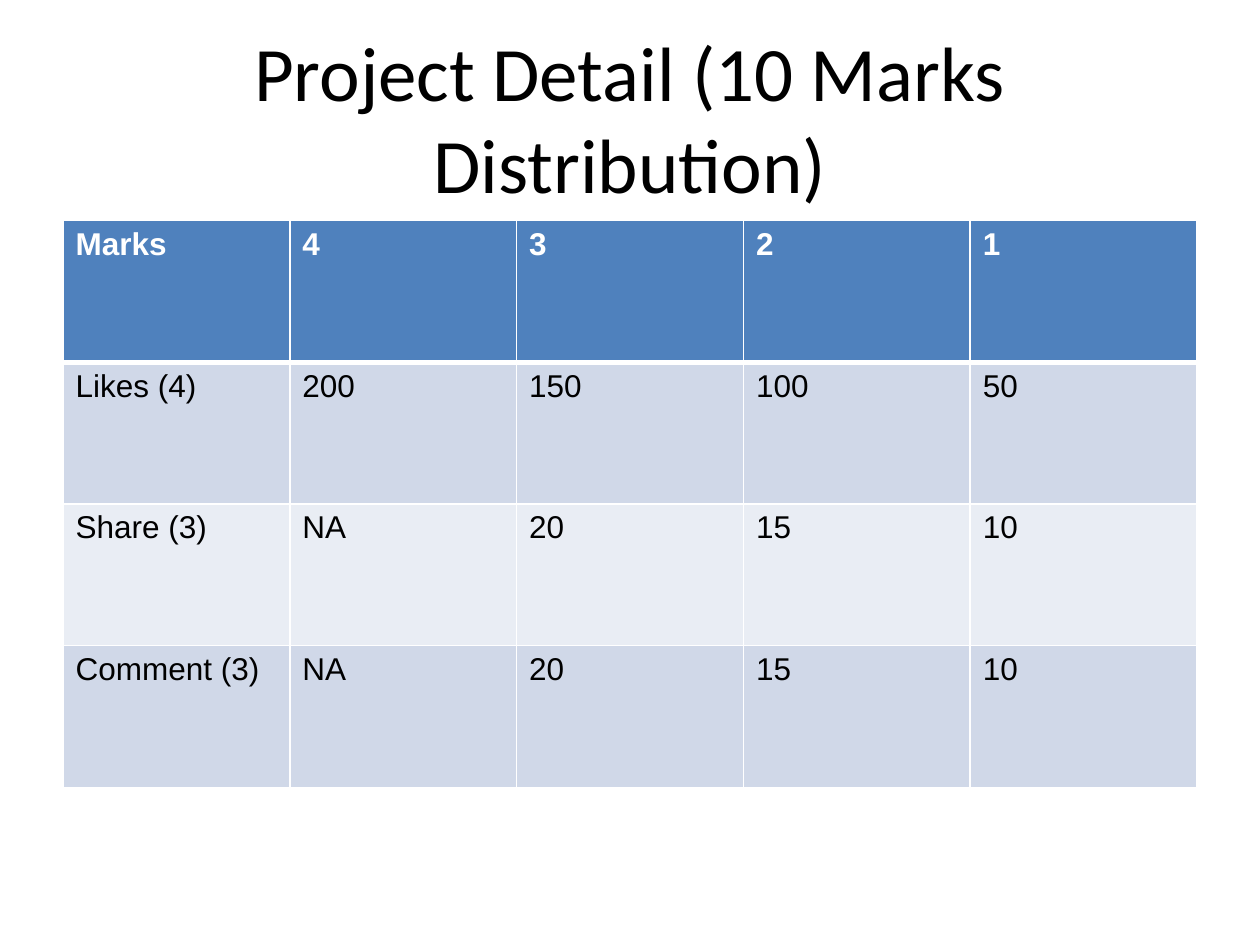
from dataclasses import dataclass

from lxml import etree
from pptx import Presentation
from pptx import util as u
from pptx.dml.color import RGBColor
from pptx.enum import text
from pptx.oxml import ns


@dataclass(frozen=True)
class Theme:
    """Colours, fonts, type sizes and line widths."""
    ink: str = "000000"
    white: str = "FFFFFF"
    head: str = "4F81BD"
    bands: tuple = ("D0D8E8", "E9EDF4")
    title_font: str = "Calibri"
    body_font: str = "Arial"
    title_size: int = 44
    body_size: int = 18
    thin: int = 1
    thick: int = 3


def write(frame, words, *, font, size, color, bold=False,
          align=text.PP_ALIGN.LEFT):
    """Put formatted words in a text frame."""
    para = frame.paragraphs[0]
    para.alignment = align
    run = para.add_run()
    run.text = words
    run.font.name = font
    run.font.size = u.Pt(size)
    run.font.bold = bold
    run.font.color.rgb = RGBColor.from_string(color)


def edge(cell, side, color, width):
    """Draw one border of a table cell."""
    line = etree.SubElement(cell._tc.get_or_add_tcPr(), ns.qn(f"a:ln{side}"),
                            w=str(u.Pt(width)))
    fill = etree.SubElement(line, ns.qn("a:solidFill"))
    etree.SubElement(fill, ns.qn("a:srgbClr"), val=color)


class Page:
    """A slide on a grid of 20 columns and 30 rows."""

    def __init__(self, deck, theme):
        """Add a blank slide to the deck."""
        self.theme = theme
        self.col = deck.slide_width / 20
        self.row = deck.slide_height / 30
        self.slide = deck.slides.add_slide(deck.slide_layouts[6])

    def place(self, left, top, width, height):
        """Turn grid units into lengths."""
        return (round(left * self.col), round(top * self.row),
                round(width * self.col), round(height * self.row))

    def title(self, words, *area):
        """Add the centred title."""
        t = self.theme
        frame = self.slide.shapes.add_textbox(*self.place(*area)).text_frame
        frame.word_wrap = True
        frame.vertical_anchor = text.MSO_ANCHOR.MIDDLE
        write(frame, words, font=t.title_font, size=t.title_size,
              color=t.ink, align=text.PP_ALIGN.CENTER)

    def table(self, rows, *area):
        """Add a table with a header and banded rows."""
        grid = self.slide.shapes.add_table(
            len(rows), len(rows[0]), *self.place(*area)).table
        for r, row in enumerate(rows):
            for c, words in enumerate(row):
                self.cell(grid.cell(r, c), words, r)

    def cell(self, cell, words, r):
        """Style and fill one cell of row r."""
        t = self.theme
        head = r == 0
        widths = {"L": t.thin, "R": t.thin,
                  "T": t.thick if r == 1 else t.thin,
                  "B": t.thick if head else t.thin}
        for side, width in widths.items():
            edge(cell, side, t.white, width)
        cell.fill.solid()
        shade = t.head if head else t.bands[(r - 1) % 2]
        cell.fill.fore_color.rgb = RGBColor.from_string(shade)
        write(cell.text_frame, words, font=t.body_font, size=t.body_size,
              color=t.white if head else t.ink, bold=head)


def main():
    """Build and save the deck."""
    deck = Presentation()
    deck.slide_width, deck.slide_height = u.Inches(10), u.Inches(7.5)
    page = Page(deck, Theme())
    page.title("Project Detail (10 Marks Distribution)", 1, 1.2, 18, 5)
    marks = [
        ("Marks", "4", "3", "2", "1"),
        ("Likes (4)", "200", "150", "100", "50"),
        ("Share (3)", "NA", "20", "15", "10"),
        ("Comment (3)", "NA", "20", "15", "10"),
    ]
    page.table(marks, 1, 7, 18, 18)
    deck.save("out.pptx")


if __name__ == "__main__":
    main()
